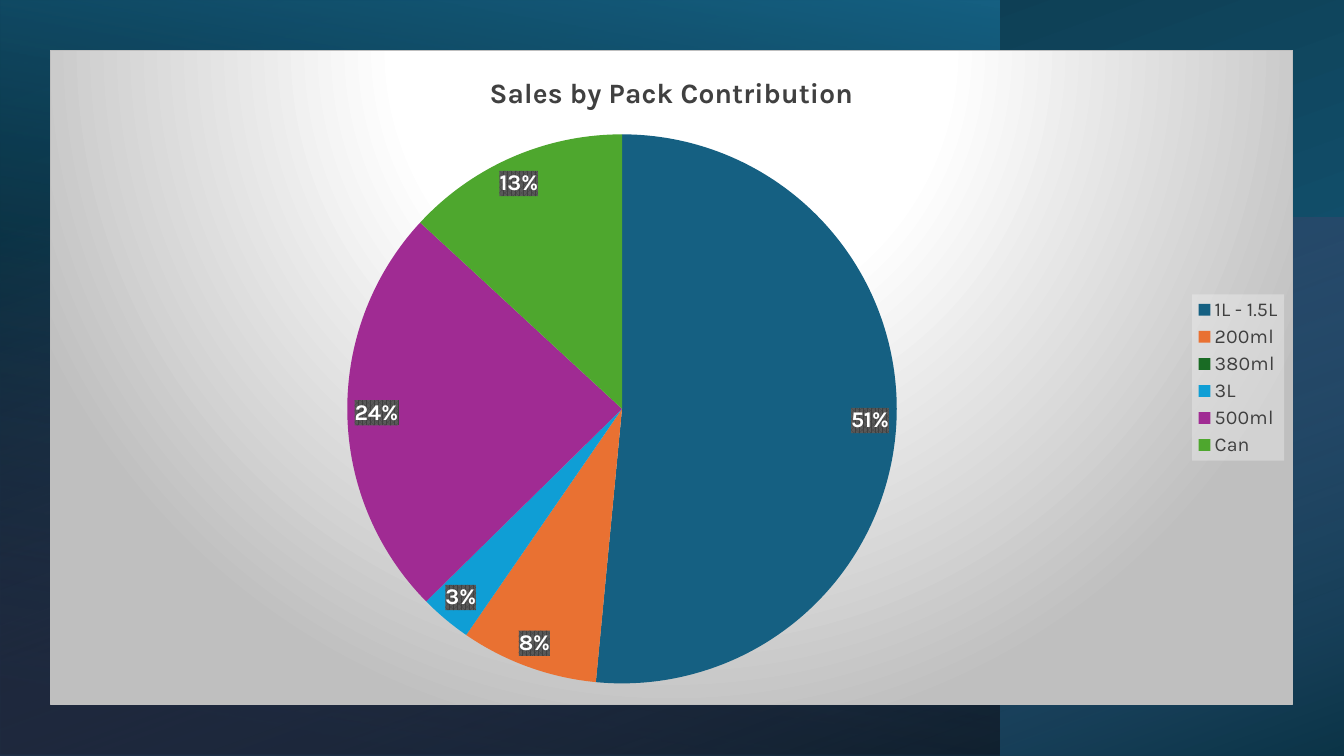
from lxml import etree
from pptx import Presentation, util as u
from pptx.chart.data import CategoryChartData
from pptx.dml.color import RGBColor
from pptx.enum import chart as c, shapes
from pptx.oxml import parse_xml
from pptx.oxml.ns import nsdecls, qn

# Content
TITLE = "Sales by Pack Contribution"
FONT = "Karla"
COLORS = {
    "blue": "156082", "navy": "0B3041", "black": "000000", "pink": "D86ECC",
    "white": "FFFFFF", "silver": "BFBFBF", "mist": "F2F2F2",
    "text": "404040", "label": "595959",
    "orange": "E97132", "forest": "196B24", "sky": "0F9ED5",
    "purple": "A02B93", "green": "4EA72E",
}
PACKS = [  # pack, percent of sales, color
    ("1L - 1.5L", 51, "blue"),
    ("200ml", 8, "orange"),
    ("380ml", 0, "forest"),
    ("3L", 3, "sky"),
    ("500ml", 24, "purple"),
    ("Can", 13, "green"),
]
BACKDROPS = [  # box in px, rotation, gradient angle, stops (position, color, opacity)
    ((294, -294, 756, 1344), 270, 200, [(8, "blue", 100), (100, "navy", 100)]),
    ((0, 0, 1000, 756), 180, 80, [(8, "black", 52), (100, "blue", 100)]),
    ((402, -185, 539, 1345), 270, 20, [(0, "pink", 0), (100, "black", 46)]),
]
CHART_BOX = (50, 50, 1243, 655)
PIE_BOX = (347, 134, 550, 550)


def px(length):
    return u.Inches(length / 100.8)


def rgb(name):
    return RGBColor.from_string(COLORS[name])


def color_xml(name, opacity=100):
    return (f'<a:srgbClr val="{COLORS[name]}">'
            f'<a:alpha val="{opacity * 1000}"/></a:srgbClr>')


def gradient_xml(stops, direction):
    marks = "".join(f'<a:gs pos="{position * 1000}">{color_xml(name, opacity)}</a:gs>'
                    for position, name, opacity in stops)
    return (f'<a:gradFill {nsdecls("a")} rotWithShape="1">'
            f'<a:gsLst>{marks}</a:gsLst>{direction}</a:gradFill>')


def area_xml(fill, line="<a:ln><a:noFill/></a:ln>"):
    return parse_xml(f'<c:spPr {nsdecls("c", "a")}>{fill}{line}</c:spPr>')


def style(font, size, color, bold=False):
    font.name, font.size, font.bold = FONT, u.Pt(size), bold
    font.color.rgb = rgb(color)


presentation = Presentation()
presentation.slide_width, presentation.slide_height = px(1344), px(756)
slide = presentation.slides.add_slide(presentation.slide_layouts[6])

# Layered gradient background
for box, rotation, angle, stops in BACKDROPS:
    shape = slide.shapes.add_shape(shapes.MSO_SHAPE.RECTANGLE, *map(px, box))
    shape.rotation = rotation
    shape.shadow.inherit = False
    shape.line.fill.background()
    properties = shape._element.spPr
    properties.find(qn("a:xfrm")).set("flipH", "1")
    direction = f'<a:lin ang="{angle * 60000}" scaled="0"/>'
    properties.find(qn("a:prstGeom")).addnext(parse_xml(gradient_xml(stops, direction)))

# Pie chart
data = CategoryChartData()
data.categories = [pack for pack, _, _ in PACKS]
data.add_series("Series 1", [share for _, share, _ in PACKS])
chart = slide.shapes.add_chart(c.XL_CHART_TYPE.PIE, *map(px, CHART_BOX), data).chart
style(chart.font, 10, "black")
plot = chart.plots[0]
plot.vary_by_categories = True
for index, (_, _, color) in enumerate(PACKS):
    point = plot.series[0].points[index]
    point.format.fill.solid()
    point.format.fill.fore_color.rgb = rgb(color)
    point.format.line.fill.background()

# Title
chart.has_title = True
chart.chart_title.include_in_layout = False
run = chart.chart_title.text_frame.paragraphs[0].add_run()
run.text = TITLE
style(run.font, 20, "text", True)

# Percent labels on a dark pattern
labels = plot.series[0].data_labels
labels.show_value = True
labels.number_format, labels.number_format_is_linked = '0"%"', False
labels.position = c.XL_LABEL_POSITION.BEST_FIT
style(labels.font, 16, "white", True)
pattern = (f'<a:pattFill prst="pct75"><a:fgClr>{color_xml("text")}</a:fgClr>'
           f'<a:bgClr>{color_xml("label")}</a:bgClr></a:pattFill>')
labels._element.find(qn("c:txPr")).addprevious(area_xml(pattern))

# Legend on a translucent panel
chart.has_legend = True
legend = chart.legend
legend.position = c.XL_LEGEND_POSITION.RIGHT
legend.include_in_layout = False
style(legend.font, 14, "text")
panel = f'<a:solidFill>{color_xml("mist", 39)}</a:solidFill>'
legend._element.find(qn("c:txPr")).addprevious(area_xml(panel))

# Pie position, as fractions of the chart
left, top, width, height = CHART_BOX
pie_left, pie_top, pie_width, pie_height = PIE_BOX
fractions = {"x": (pie_left - left) / width, "y": (pie_top - top) / height,
             "w": pie_width / width, "h": pie_height / height}
plot_area = chart._chartSpace.chart.plotArea
for old in plot_area.findall(qn("c:layout")):
    plot_area.remove(old)
layout = etree.Element(qn("c:layout"))
manual = etree.SubElement(layout, qn("c:manualLayout"))
settings = {"layoutTarget": "inner", "xMode": "edge", "yMode": "edge"}
settings.update({key: f"{value:.4f}" for key, value in fractions.items()})
for key, value in settings.items():
    etree.SubElement(manual, qn(f"c:{key}")).set("val", value)
plot_area.insert(0, layout)

# Chart background
spread = ('<a:path path="circle"><a:fillToRect l="50000" t="-80000" '
          'r="50000" b="180000"/></a:path>')
backing = gradient_xml([(0, "white", 100), (39, "white", 100), (100, "silver", 100)], spread)
border = f'<a:ln w="{u.Pt(0.75)}"><a:solidFill>{color_xml("silver")}</a:solidFill></a:ln>'
chart._chartSpace.find(qn("c:txPr")).addprevious(area_xml(backing, border))

presentation.save("out.pptx")
